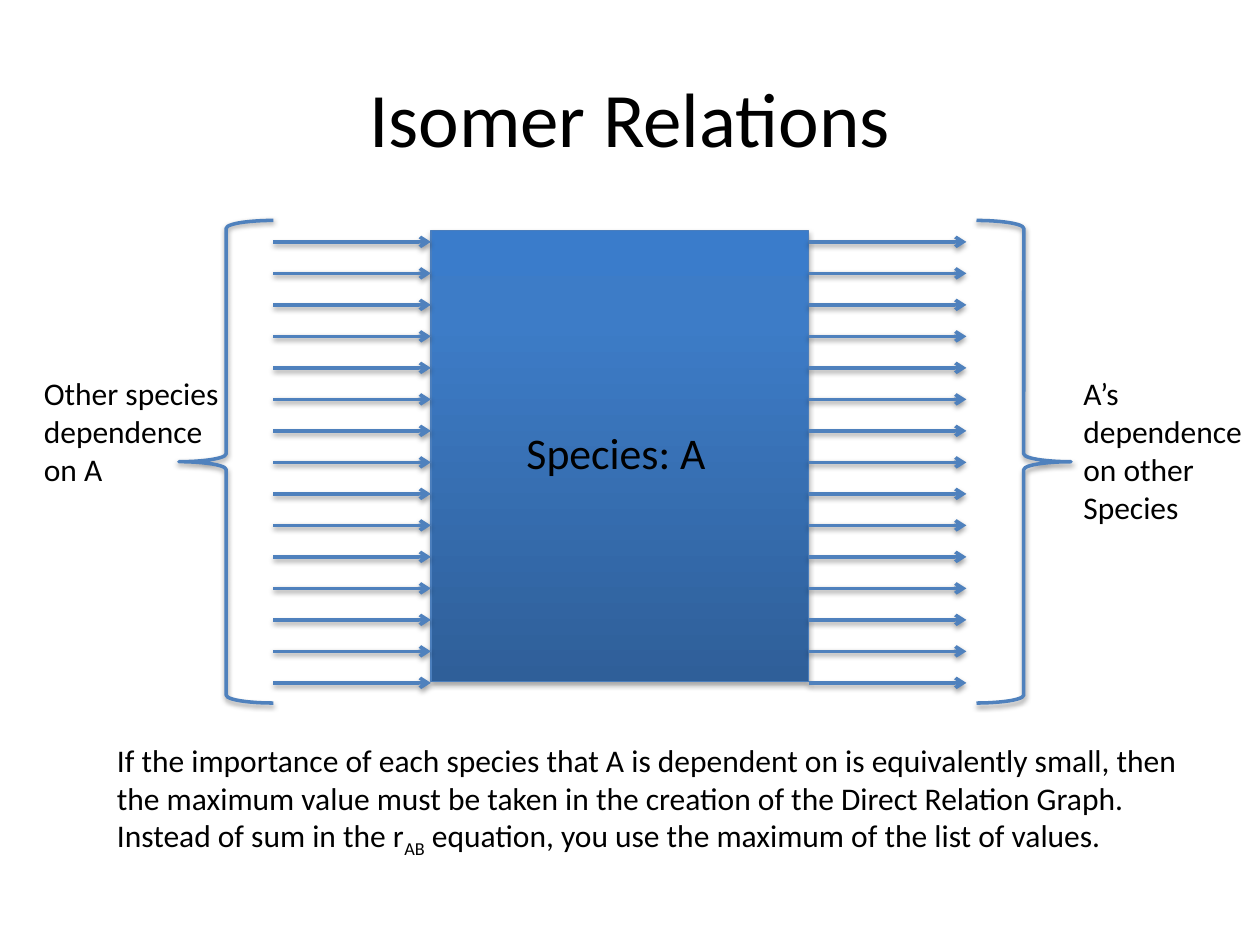
from copy import deepcopy

from lxml import etree
from pptx import Presentation
from pptx.dml.color import RGBColor
from pptx.enum.shapes import MSO_CONNECTOR, MSO_SHAPE
from pptx.enum.text import MSO_ANCHOR, MSO_AUTO_SIZE, PP_ALIGN
from pptx.oxml.ns import qn
from pptx.util import Inches, Pt

STRAIGHT = MSO_CONNECTOR.STRAIGHT
RECTANGLE = MSO_SHAPE.RECTANGLE
LEFT_BRACE, RIGHT_BRACE = MSO_SHAPE.LEFT_BRACE, MSO_SHAPE.RIGHT_BRACE
MIDDLE, CENTER = MSO_ANCHOR.MIDDLE, PP_ALIGN.CENTER
FIT_SHAPE = MSO_AUTO_SIZE.SHAPE_TO_FIT_TEXT
BLUE = "4F81BD"


def color(value):
    return RGBColor.from_string(value)


def outline_with_shadow(item, line_color, width, alpha=38, distance=1.6):
    """Set the line, then a soft black shadow that falls straight down."""
    item.line.color.rgb = color(line_color)
    item.line.width = Pt(width)
    effects = etree.SubElement(item._element.spPr, qn("a:effectLst"))
    shadow = etree.SubElement(
        effects, qn("a:outerShdw"), blurRad=str(Pt(3.1)),
        dist=str(Pt(distance)), dir="5400000", rotWithShape="0")
    black = etree.SubElement(shadow, qn("a:srgbClr"), val="000000")
    etree.SubElement(black, qn("a:alpha"), val=str(alpha * 1000))


prs = Presentation()
prs.slide_width, prs.slide_height = Inches(10), Inches(7.5)
slide = prs.slides.add_slide(prs.slide_layouts[6])
shapes = slide.shapes

# Species box with a vertical gradient
species = shapes.add_shape(RECTANGLE, Inches(3.42), Inches(1.83),
                           Inches(3), Inches(3.58))
species.fill.gradient()
species.fill.gradient_angle = 90
stop_list = species._element.spPr.find(".//" + qn("a:gsLst"))
stop_list.append(deepcopy(stop_list[-1]))
gradient = [(0, "2F5F99"), (0.8, "3D7CC7"), (1, "3A7CCB")]
for stop, (position, shade) in zip(species.fill.gradient_stops, gradient):
    stop.position = position
    stop.color.rgb = color(shade)
outline_with_shadow(species, "4B7EBC", 0.75, alpha=35, distance=1.8)

# Fifteen arrows out of the box and fifteen into it
for start in (6.42, 2.17):
    for row in range(15):
        y = Inches(1.92 + 0.25 * row)
        arrow = shapes.add_connector(STRAIGHT, Inches(start), y,
                                     Inches(start + 1.25), y)
        outline_with_shadow(arrow, BLUE, 2)
        etree.SubElement(arrow.line._get_or_add_ln(), qn("a:tailEnd"),
                         type="arrow")

# Braces around the arrows
for brace_kind, left in ((RIGHT_BRACE, 7.75), (LEFT_BRACE, 1.42)):
    brace = shapes.add_shape(brace_kind, Inches(left), Inches(1.75),
                             Inches(0.75), Inches(3.83))
    brace.fill.background()
    outline_with_shadow(brace, BLUE, 2)

# Texts: place, size, paragraphs of (text, is subscript) runs
texts = [
    ((0.5, 0.3, 9, 1.25), 44, [[("Isomer Relations", False)]]),
    ((4.08, 3.33, 1.75, 0.52), 25, [[("Species: A", False)]]),
    ((0.83, 5.83, 8.83, 1.01), 18, [[
        ("If the importance of each species that A is dependent on is "
         "equivalently small, then the maximum value must be taken in the "
         "creation of the Direct Relation Graph.  Instead of sum in the r",
         False),
        ("AB", True),
        (" equation, you use the maximum of the list of values.", False)]]),
    ((8.5, 2.92, 1.5, 1.31), 18,
     [[("A’s dependence on other", False)], [("Species", False)]]),
    ((0.25, 2.92, 1.67, 1.01), 18,
     [[("Other species dependence on A", False)]]),
]
for place, size, paragraphs in texts:
    frame = shapes.add_textbox(*map(Inches, place)).text_frame
    frame.word_wrap = True
    is_title = size == 44
    if is_title:
        frame.vertical_anchor = MIDDLE
    else:
        frame.auto_size = FIT_SHAPE
    for index, runs in enumerate(paragraphs):
        paragraph = frame.add_paragraph() if index else frame.paragraphs[0]
        if is_title:
            paragraph.alignment = CENTER
        for text, is_subscript in runs:
            run = paragraph.add_run()
            run.text = text
            run.font.size = Pt(size)
            run.font.name = "Calibri"
            run.font.color.rgb = color("000000")
            if is_subscript:
                run.font._element.set("baseline", "-25000")

prs.save("out.pptx")
